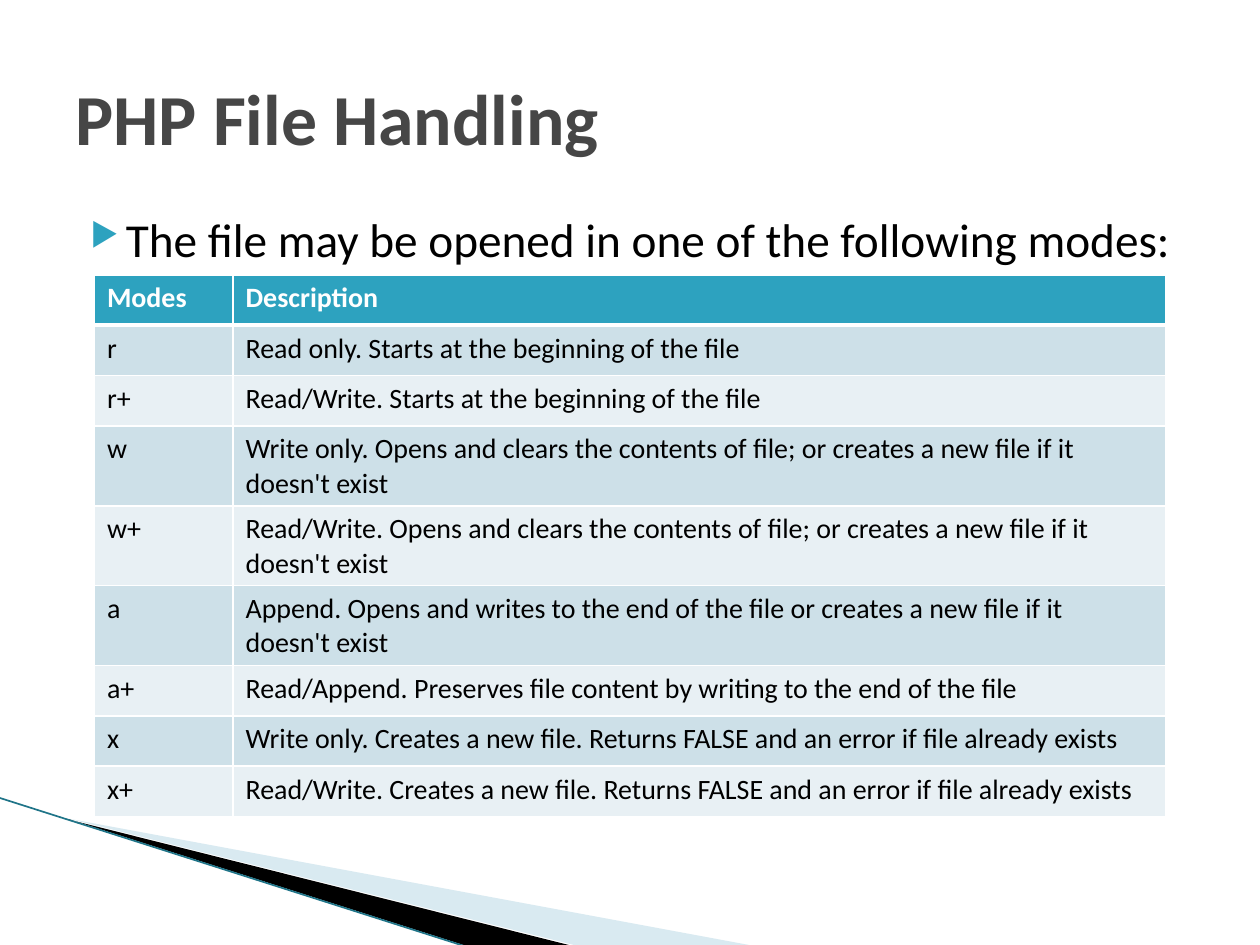
from lxml.etree import SubElement
from pptx import Presentation
from pptx.dml.color import RGBColor
from pptx.enum.text import MSO_ANCHOR
from pptx.oxml import parse_xml
from pptx.oxml.ns import nsdecls, qn
from pptx.util import Pt


def color(value):
    return RGBColor.from_string(value)


def write_text(frame, text, size, hex_color, bold=False):
    frame.word_wrap = True
    paragraph = frame.paragraphs[0]
    run = paragraph.add_run()
    run.text = text
    formats = {"name": "Calibri", "size": Pt(size), "bold": bold}
    for name, value in formats.items():
        setattr(run.font, name, value)
    run.font.color.rgb = color(hex_color)
    return paragraph


presentation = Presentation()
presentation.slide_width = Pt(720)
presentation.slide_height = Pt(540)
slide = presentation.slides.add_slide(presentation.slide_layouts[6])

wedges = [
    ("A0CBDC", 40, [(39.6, 468.5), (428.4, 540.5), (328.3, 540.5), (39.6, 468)]),
    ("000000", 100, [(38.2, 467.5), (329, 540.7), (267.8, 541.2), (38.9, 468)]),
]
for fill, opacity, points in wedges:
    builder = slide.shapes.build_freeform(*points[0], scale=Pt(1))
    builder.add_line_segments(points[1:], close=True)
    wedge = builder.convert_to_shape()
    wedge.shadow.inherit = False
    wedge.fill.solid()
    wedge.fill.fore_color.rgb = color(fill)
    wedge.line.fill.background()
    if opacity < 100:
        fill_color = wedge.fill._xPr.find(qn("a:solidFill"))[0]
        SubElement(fill_color, qn("a:alpha"), val=str(opacity * 1000))

edge = slide.shapes.add_connector(1, Pt(-0.7), Pt(455.8), Pt(267.8), Pt(541.4))
edge.line.color.rgb = color("1F7488")
edge.line.width = Pt(0.95)
SubElement(edge._element.spPr, qn("a:effectLst"))

body = slide.shapes.add_textbox(Pt(36), Pt(116.6), Pt(648), Pt(45.4))
paragraph = write_text(
    body.text_frame, "The file may be opened in one of the following modes:", 27, "000000"
)
paragraph.space_before = Pt(4)
properties = paragraph._p.get_or_add_pPr()
properties.set("marL", str(Pt(28.8)))
properties.set("indent", str(Pt(-20.16)))
bullet_color = SubElement(properties, qn("a:buClr"))
SubElement(bullet_color, qn("a:srgbClr"), val="2DA2BF")
SubElement(properties, qn("a:buSzPct"), val="68000")
SubElement(properties, qn("a:buChar"), char="▶")

title = slide.shapes.add_textbox(Pt(36), Pt(21.6), Pt(648), Pt(90))
title.text_frame.vertical_anchor = MSO_ANCHOR.MIDDLE
write_text(title.text_frame, "PHP File Handling", 41, "464646", True)

rows = [
    ("Modes", "Description"),
    ("r", "Read only. Starts at the beginning of the file"),
    ("r+", "Read/Write. Starts at the beginning of the file"),
    ("w", "Write only. Opens and clears the contents of file; or creates a new file if it doesn't exist"),
    ("w+", "Read/Write. Opens and clears the contents of file; or creates a new file if it doesn't exist"),
    ("a", "Append. Opens and writes to the end of the file or creates a new file if it doesn't exist"),
    ("a+", "Read/Append. Preserves file content by writing to the end of the file"),
    ("x", "Write only. Creates a new file. Returns FALSE and an error if file already exists"),
    ("x+", "Read/Write. Creates a new file. Returns FALSE and an error if file already exists"),
]
row_height = 28.8
table = slide.shapes.add_table(
    len(rows), 2, Pt(54), Pt(157), Pt(612), Pt(row_height * len(rows))
).table
for column, width in zip(table.columns, (79.2, 532.8)):
    column.width = Pt(width)

for row_index, row in enumerate(rows):
    header = row_index == 0
    fill = "2DA2BF" if header else ("E8F0F4", "CDE0E8")[row_index % 2]
    for column_index, text in enumerate(row):
        cell = table.cell(row_index, column_index)
        cell.fill.solid()
        cell.fill.fore_color.rgb = color(fill)
        write_text(cell.text_frame, text, 16, "FFFFFF" if header else "000000", header)
        widths = {
            "lnL": 1,
            "lnR": 1,
            "lnT": 3 if row_index == 1 else 1,
            "lnB": 3 if header else 1,
        }
        for position, (side, width) in enumerate(widths.items()):
            border = parse_xml(
                f'<a:{side} {nsdecls("a")} w="{Pt(width)}"><a:solidFill>'
                f'<a:srgbClr val="FFFFFF"/></a:solidFill></a:{side}>'
            )
            cell._tc.get_or_add_tcPr().insert(position, border)

presentation.save("out.pptx")
